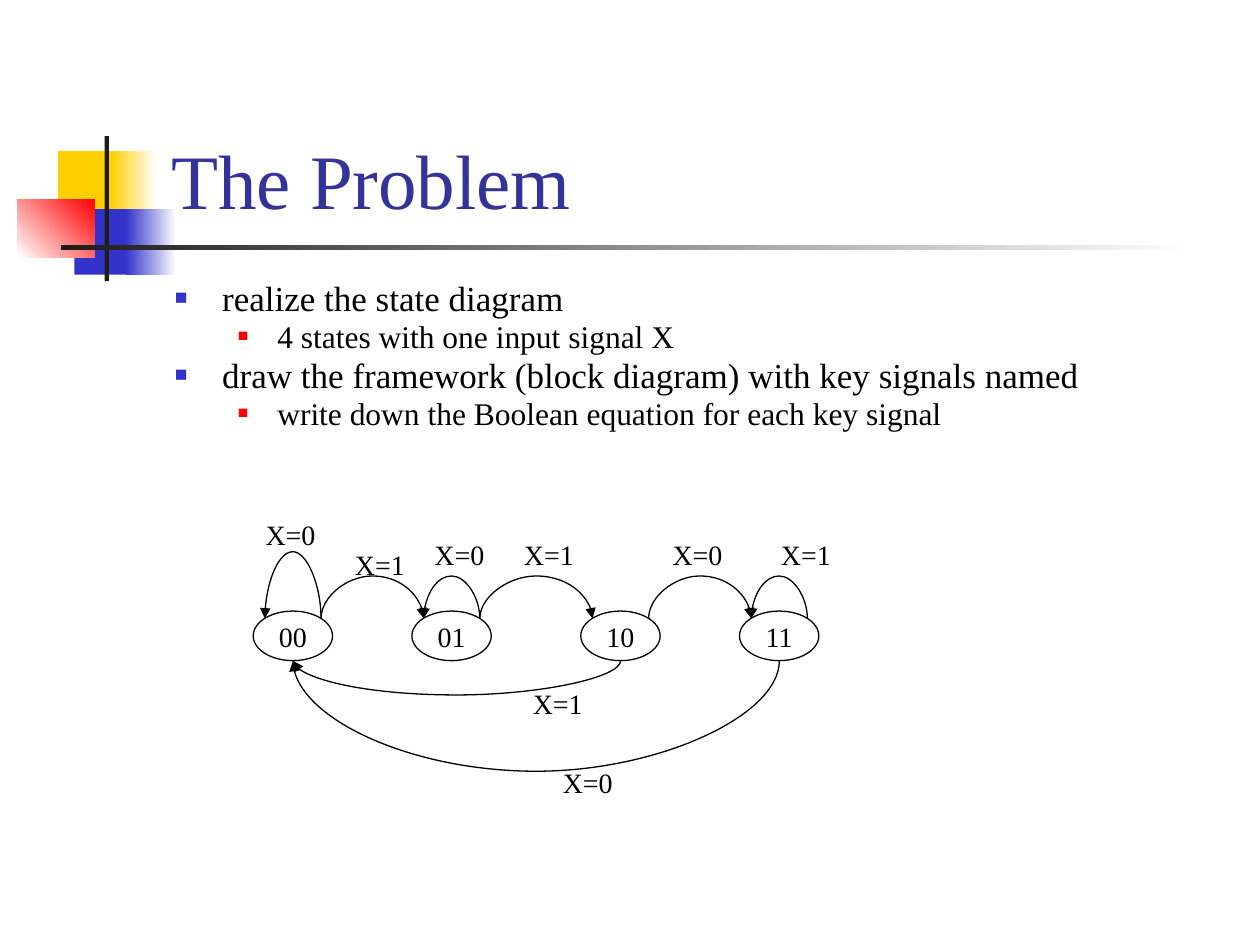
from dataclasses import dataclass
from math import sqrt
from typing import NamedTuple

from lxml.etree import SubElement
from pptx import Presentation
from pptx.dml.color import RGBColor
from pptx.enum.shapes import MSO_CONNECTOR as Cxn, MSO_SHAPE as Shape
from pptx.enum.text import MSO_ANCHOR as Anchor, PP_ALIGN as Align
from pptx.oxml.ns import qn
from pptx.util import Pt

FONT = "Times New Roman"
BLACK, WHITE, BLUE, YELLOW, RED, DARK = (
    "000000", "FFFFFF", "3333CC", "FFCF01", "FF0000", "1C1C1C")
STATE_W, STATE_H, STATE_TOP = 45.36, 28.35, 349.2
CURVE_W = 0.13  # nominal width that the curve adjustment multiplies
TOP_LEFT, BOTTOM, TOP_RIGHT = 1, 4, 7  # connection sites of an ellipse


class Bar(NamedTuple):
    x: float
    y: float
    w: float
    h: float
    start: str
    end: str | None = None
    angle: float = 0


class Bullet(NamedTuple):
    text: str
    level: int = 0


class BulletStyle(NamedTuple):
    size: float
    margin: float
    hang: float
    colour: str
    percent: int


class Label(NamedTuple):
    text: str
    x: float
    y: float


@dataclass
class State:
    name: str
    x: float
    shape: object = None

    def site(self, index: int) -> tuple[float, float]:
        cx, cy = self.x + STATE_W / 2, STATE_TOP + STATE_H / 2
        if index == BOTTOM:
            return cx, cy + STATE_H / 2
        side = 1 if index == TOP_RIGHT else -1
        return cx + side * STATE_W / sqrt(8), cy - STATE_H / sqrt(8)


class Transition(NamedTuple):
    source: int
    target: int
    depth: float  # positive below the states, negative above


BARS = [
    Bar(33.1, 86.4, 34.6, 37.4, YELLOW),
    Bar(63.4, 86.4, 25.9, 37.4, YELLOW, WHITE),
    Bar(42.5, 119.5, 33.1, 37.4, BLUE),
    Bar(72, 119.5, 28.8, 37.4, BLUE, WHITE),
    Bar(10.1, 113.8, 43.9, 33.1, WHITE, RED, 45),
    Bar(59.8, 77.8, 2.5, 82.8, DARK),
    Bar(34.6, 140.2, 648, 2.5, DARK, WHITE),
]
BULLETS = [
    Bullet("realize the state diagram"),
    Bullet("4 states with one input signal X", 1),
    Bullet("draw the framework (block diagram) with key signals named"),
    Bullet("write down the Boolean equation for each key signal", 1),
]
BULLET_STYLES = [BulletStyle(20, 27, 27, BLUE, 60),
                 BulletStyle(18, 58.5, 22.5, RED, 55)]
STATES = [State("00", 144.7), State("01", 235.4),
          State("10", 331.9), State("11", 422.6)]
TRANSITIONS = [
    Transition(0, 1, -22.2), Transition(0, 0, -34.9), Transition(1, 1, -22.2),
    Transition(1, 2, -22.2), Transition(2, 0, 18), Transition(2, 3, -22.2),
    Transition(3, 3, -22.2), Transition(3, 0, 58),
]
LABELS = [
    Label("X=0", 144.7, 292.3), Label("X=1", 195.8, 309.6),
    Label("X=0", 241.2, 303.8), Label("X=1", 292.3, 303.8),
    Label("X=0", 377.3, 303.8), Label("X=1", 439.2, 303.8),
    Label("X=1", 297.4, 388.8), Label("X=0", 314.6, 434.2),
]


def rgb(colour: str) -> RGBColor:
    return RGBColor.from_string(colour)


def write(p, text: str, *, size: float = 16, colour: str = BLACK, align=None):
    r = p.add_run()
    r.text = text
    r.font.name, r.font.size = FONT, Pt(size)
    r.font.color.rgb = rgb(colour)
    p.alignment = align


def add_text_frame(s, x: float, y: float, w: float, h: float, wrap: bool = True):
    tf = s.shapes.add_textbox(Pt(x), Pt(y), Pt(w), Pt(h)).text_frame
    tf.word_wrap = wrap
    return tf


def add_bar(s, bar: Bar):
    sp = s.shapes.add_shape(Shape.RECTANGLE, *map(Pt, bar[:4]))
    sp.shadow.inherit = False
    sp.line.fill.background()
    if bar.end is None:
        sp.fill.solid()
        sp.fill.fore_color.rgb = rgb(bar.start)
        return
    sp.fill.gradient()
    sp.fill.gradient_angle = bar.angle
    for stop, colour in zip(sp.fill.gradient_stops, (bar.start, bar.end)):
        stop.color.rgb = rgb(colour)


def add_bullet(p, bullet: Bullet):
    style = BULLET_STYLES[bullet.level]
    p.level, p.line_spacing = bullet.level, 0.8
    write(p, bullet.text, size=style.size)
    pPr = p._p.get_or_add_pPr()
    pPr.set("marL", str(Pt(style.margin)))
    pPr.set("indent", str(-Pt(style.hang)))
    before = SubElement(pPr, qn("a:spcBef"))
    SubElement(before, qn("a:spcPct"), val="20000")
    colour = SubElement(pPr, qn("a:buClr"))
    SubElement(colour, qn("a:srgbClr"), val=style.colour)
    SubElement(pPr, qn("a:buSzPct"), val=str(style.percent * 1000))
    SubElement(pPr, qn("a:buFont"), typeface=FONT)
    SubElement(pPr, qn("a:buChar"), char="■")


def add_state(s, state: State):
    sp = s.shapes.add_shape(Shape.OVAL, Pt(state.x), Pt(STATE_TOP),
                            Pt(STATE_W), Pt(STATE_H))
    sp.shadow.inherit = False
    sp.fill.background()
    sp.line.color.rgb, sp.line.width = rgb(BLACK), Pt(0.75)
    tf = sp.text_frame
    tf.word_wrap, tf.vertical_anchor = False, Anchor.MIDDLE
    write(tf.paragraphs[0], state.name, align=Align.CENTER)
    state.shape = sp


def add_transition(s, t: Transition):
    """Draw an arched arrow as a quarter-turned curved connector."""
    source, target = STATES[t.source], STATES[t.target]
    below = t.depth > 0
    sites = (BOTTOM, BOTTOM) if below else (TOP_RIGHT, TOP_LEFT)
    (x1, y), (x2, _) = source.site(sites[0]), target.site(sites[1])
    mid, half = (x1 + x2) / 2, abs(x2 - x1) / 2
    cx = s.shapes.add_connector(Cxn.CURVE, Pt(mid), Pt(y - half),
                                Pt(mid + CURVE_W), Pt(y + half))
    cx.line.color.rgb, cx.line.width = rgb(BLACK), Pt(0.75)
    spPr = cx._element.spPr
    xfrm = spPr.find(qn("a:xfrm"))
    loop = t.source == t.target
    xfrm.set("rot", str((270 if loop else 90) * 60000))
    if loop:
        xfrm.set("flipH", "1")
    if not below:
        xfrm.set("flipV", "1")
    guides = spPr.find(qn("a:prstGeom")).get_or_add_avLst()
    SubElement(guides, qn("a:gd"), name="adj1",
               fmla=f"val {round(t.depth / CURVE_W * 100000)}")
    SubElement(spPr.find(qn("a:ln")), qn("a:tailEnd"), type="triangle")
    SubElement(spPr, qn("a:effectLst"))
    glue = cx._element.find(f"{qn('p:nvCxnSpPr')}/{qn('p:cNvCxnSpPr')}")
    for tag, state, site in zip(("a:stCxn", "a:endCxn"), (source, target), sites):
        SubElement(glue, qn(tag), id=str(state.shape.shape_id), idx=str(site))


def main():
    prs = Presentation()
    prs.slide_width, prs.slide_height = Pt(720), Pt(540)
    s = prs.slides.add_slide(prs.slide_layouts[6])
    for bar in BARS:
        add_bar(s, bar)
    tf = add_text_frame(s, 90.7, 16.6, 613.4, 115.2)
    tf.vertical_anchor = Anchor.BOTTOM
    write(tf.paragraphs[0], "The Problem", size=44, colour="333399")
    tf = add_text_frame(s, 92.9, 159.1, 612, 100.1)
    for i, bullet in enumerate(BULLETS):
        add_bullet(tf.add_paragraph() if i else tf.paragraphs[0], bullet)
    for state in STATES:
        add_state(s, state)
    for transition in TRANSITIONS:
        add_transition(s, transition)
    for label in LABELS:
        tf = add_text_frame(s, label.x, label.y, 43.2, 26.6, wrap=False)
        write(tf.paragraphs[0], label.text)
    prs.save("out.pptx")


if __name__ == "__main__":
    main()
